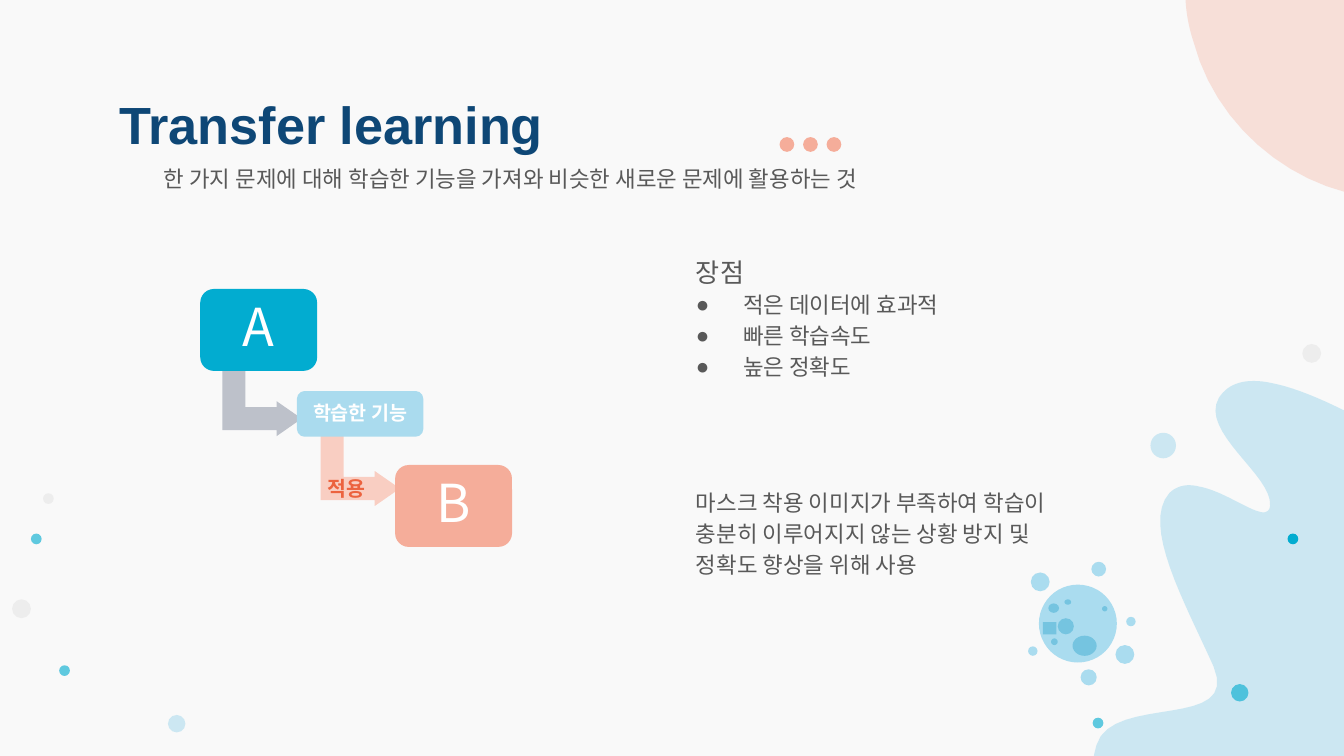
from lxml import etree
from pptx import Presentation
from pptx.dml.color import RGBColor
from pptx.enum.shapes import MSO_SHAPE as SHAPE
from pptx.enum.text import MSO_ANCHOR as ANCHOR, PP_ALIGN as ALIGN
from pptx.oxml.ns import qn
from pptx.util import Inches, Pt

KR = "Noto Sans CJK KR"
GRAY, SKY, PEACH, TEAL = "595959", "AADBEE", "F5AD9A", "02ACD0"
VIRUS, SPOT, PALE = "AADCEF", "75C4E0", "EDEDED"

WAVE = [
    (9.46, 2.85), (9.72, 2.9, 10.09, 3.08, 10.58, 3.38), (10.58, 3.38, 11.87, 4.23, 11.78, 4.68),
    (11.76, 4.77, 11.69, 4.79, 11.59, 4.77), (11.35, 4.72, 10.96, 4.45, 10.73, 4.41),
    (10.6, 4.38, 10.53, 4.43, 10.57, 4.65), (10.74, 5.38, 12.16, 5.8, 12.04, 6.41),
    (11.91, 7.02, 10.89, 6.49, 11.07, 7.02), (11.19, 7.36, 10.55, 7.51, 9.9, 7.37),
    (9.55, 7.3, 9.21, 7.16, 8.97, 6.92), (8.28, 6.24, 8.04, 5.92, 8.16, 5.54),
    (8.28, 5.16, 9.23, 5.44, 9.03, 4.96), (8.82, 4.49, 8.49, 3.91, 8.7, 3.67),
    (8.76, 3.61, 8.84, 3.6, 8.92, 3.62), (9.09, 3.65, 9.28, 3.79, 9.38, 3.81),
    (9.42, 3.82, 9.45, 3.8, 9.45, 3.76), (9.47, 3.54, 8.92, 3.21, 9.07, 2.96),
    (9.14, 2.85, 9.27, 2.81, 9.46, 2.85),
]
CORNER = [
    (11.83, 0.4), (11.89, 0.18, 11.89, -0.07, 11.83, -0.32), (11.76, -1.22, 10.89, -1.77, 10.09, -1.53),
    (9.46, -1.42, 9.01, -0.96, 8.87, -0.43), (8.8, -0.19, 8.8, 0.07, 8.88, 0.31),
    (9.09, 1.11, 9.96, 1.66, 10.76, 1.42), (11.3, 1.28, 11.69, 0.89, 11.83, 0.4),
]
CURVES = [(WAVE, SKY, 57), (CORNER, PEACH, 34)]

OVALS = [
    (VIRUS, 100, [(8.04, 4.98, 0.12, 0.12), (8.12, 4.18, 0.11, 0.11), (8.3, 4.8, 0.14, 0.14),
                  (7.67, 4.26, 0.14, 0.14), (7.65, 4.81, 0.07, 0.07), (8.38, 4.59, 0.07, 0.07),
                  (7.73, 4.35, 0.58, 0.58)]),
    (SPOT, 100, [(7.82, 4.75, 0.05, 0.05), (7.87, 4.6, 0.12, 0.12), (7.98, 4.73, 0.18, 0.15),
                 (7.8, 4.49, 0.08, 0.07), (8.2, 4.51, 0.04, 0.04), (7.92, 4.46, 0.05, 0.04)]),
    (SKY, 57, [(8.56, 3.22, 0.19, 0.19), (1.25, 5.32, 0.13, 0.13)]),
    (TEAL, 62, [(9.16, 5.09, 0.13, 0.13), (8.13, 5.34, 0.08, 0.08), (0.44, 4.95, 0.08, 0.08),
                (0.23, 3.97, 0.08, 0.08)]),
    (PALE, 100, [(0.32, 3.67, 0.08, 0.08), (9.69, 2.56, 0.14, 0.14), (0.09, 4.46, 0.14, 0.14)]),
    (TEAL, 100, [(9.58, 3.97, 0.08, 0.08)]),
    (PEACH, 100, [(5.8 + 0.175 * i, 1.02, 0.11, 0.11) for i in range(3)]),
]

ARROWS = [((1.69, 2.69, 0.52, 0.59), "BDC1CA"), ((2.42, 3.21, 0.52, 0.59), "F9CEC2")]
BOXES = [
    ("A", (1.49, 2.15, 0.87, 0.61), TEAL, 0.15, dict(size=28)),
    ("학습한 기능", (2.21, 2.91, 0.94, 0.34), SKY, 0.06, dict(size=10.5, bold=True)),
    ("B", (2.94, 3.46, 0.87, 0.61), PEACH, 0.15, dict(size=28)),
]

BODY = dict(size=12, name=KR, color=GRAY)
TEXTS = [
    ((0.79, 0.59, 5.5, 0.56), ANCHOR.TOP,
     [("Transfer learning", "title", dict(size=28, name="Arial", color="0E4776", bold=True))]),
    ((0.97, 1.1, 7.59, 0.41), ANCHOR.TOP,
     [("한 가지 문제에 대해 학습한 기능을 가져와 비슷한 새로운 문제에 활용하는 것", "body", BODY)]),
    ((2.34, 3.51, 0.84, 0.25), ANCHOR.MIDDLE,
     [("적용", "title", dict(size=11, name="Arial", color="EC633F", bold=True))]),
    ((4.93, 1.77, 3.62, 1.21), ANCHOR.TOP,
     [("장점", "body", dict(BODY, size=14)), ("적은 데이터에 효과적", "bullet", BODY),
      ("빠른 학습속도", "bullet", BODY), ("높은 정확도", "bullet", BODY)]),
    ((4.93, 3.51, 3.28, 0.87), ANCHOR.TOP,
     [("마스크 착용 이미지가 부족하여 학습이 충분히 이루어지지 않는 상황 방지 및 정확도 향상을 위해 사용",
       "body", BODY)]),
]
PARAGRAPHS = {
    "title": dict(),
    "box": dict(alignment=ALIGN.CENTER, line_spacing=0.9),
    "body": dict(line_spacing=1.15),
    "bullet": dict(line_spacing=1.15),
}
INDENTS = {"body": (0.15, 0), "bullet": (0.5, -0.35)}


def rgb(value):
    return RGBColor.from_string(value)


def paint(sp, color, alpha=100):
    sp.shadow.inherit = False
    sp.fill.solid()
    sp.fill.fore_color.rgb = rgb(color)
    sp.line.fill.background()
    if alpha < 100:
        clr = sp.fill._xPr.find(qn("a:solidFill"))[0]
        etree.SubElement(clr, qn("a:alpha"), val=str(alpha * 1000))


def add_preset(s, kind, place, color, alpha=100):
    sp = s.shapes.add_shape(kind, *map(Inches, place))
    paint(sp, color, alpha)
    return sp


def add_curve(s, curve, color, alpha, steps=16):
    (x, y), points = curve[0], []
    start = Inches(x), Inches(y)
    for x1, y1, x2, y2, x3, y3 in curve[1:]:
        for i in range(1, steps + 1):
            t = i / steps
            u = 1 - t
            a, b, c, d = u ** 3, 3 * u * u * t, 3 * u * t * t, t ** 3
            points.append((Inches(a * x + b * x1 + c * x2 + d * x3),
                           Inches(a * y + b * y1 + c * y2 + d * y3)))
        x, y = x3, y3
    builder = s.shapes.build_freeform(*start, scale=1.0)
    builder.add_line_segments(points, close=True)
    paint(builder.convert_to_shape(), color, alpha)


def add_bullet(pPr):
    color = etree.SubElement(pPr, qn("a:buClr"))
    etree.SubElement(color, qn("a:srgbClr"), val=GRAY)
    etree.SubElement(pPr, qn("a:buFont"), typeface="Arial")
    etree.SubElement(pPr, qn("a:buChar"), char="●")


def write(tf, items, anchor, inset):
    tf.word_wrap = True
    tf.vertical_anchor = anchor
    for side in ("left", "top", "right", "bottom"):
        setattr(tf, f"margin_{side}", Inches(inset))
    for i, (text, style, font) in enumerate(items):
        p = tf.add_paragraph() if i else tf.paragraphs[0]
        for key, value in PARAGRAPHS[style].items():
            setattr(p, key, value)
        pPr = p._p.get_or_add_pPr()
        if style in INDENTS:
            left, first = INDENTS[style]
            pPr.set("marL", str(Inches(left)))
            pPr.set("indent", str(Inches(first)))
        if style == "bullet":
            add_bullet(pPr)
        r = p.add_run()
        r.text = text
        values = dict(font, size=Pt(font["size"]))
        r.font.color.rgb = rgb(values.pop("color"))
        for key, value in values.items():
            setattr(r.font, key, value)


def main():
    prs = Presentation()
    prs.slide_width, prs.slide_height = Inches(10), Inches(10 * 9 / 16)
    s = prs.slides.add_slide(prs.slide_layouts[6])
    s.background.fill.solid()
    s.background.fill.fore_color.rgb = rgb("F9F9F9")

    for curve in CURVES:
        add_curve(s, *curve)
    for color, alpha, places in OVALS:
        for place in places:
            add_preset(s, SHAPE.OVAL, place, color, alpha)
    add_preset(s, SHAPE.RECTANGLE, (7.76, 4.63, 0.1, 0.09), SPOT)

    for place, color in ARROWS:
        sp = add_preset(s, SHAPE.BENT_UP_ARROW, place, color)
        sp.rotation = 90
        for i, value in enumerate((0.33, 0.25, 0.36)):
            sp.adjustments[i] = value
    for text, place, color, inset, font in BOXES:
        sp = add_preset(s, SHAPE.ROUNDED_RECTANGLE, place, color)
        write(sp.text_frame, [(text, "box", dict(font, name=KR, color="FFFFFF"))], ANCHOR.MIDDLE, inset)
    for place, anchor, items in TEXTS:
        write(s.shapes.add_textbox(*map(Inches, place)).text_frame, items, anchor, 0.1)
    prs.save("out.pptx")


if __name__ == "__main__":
    main()
